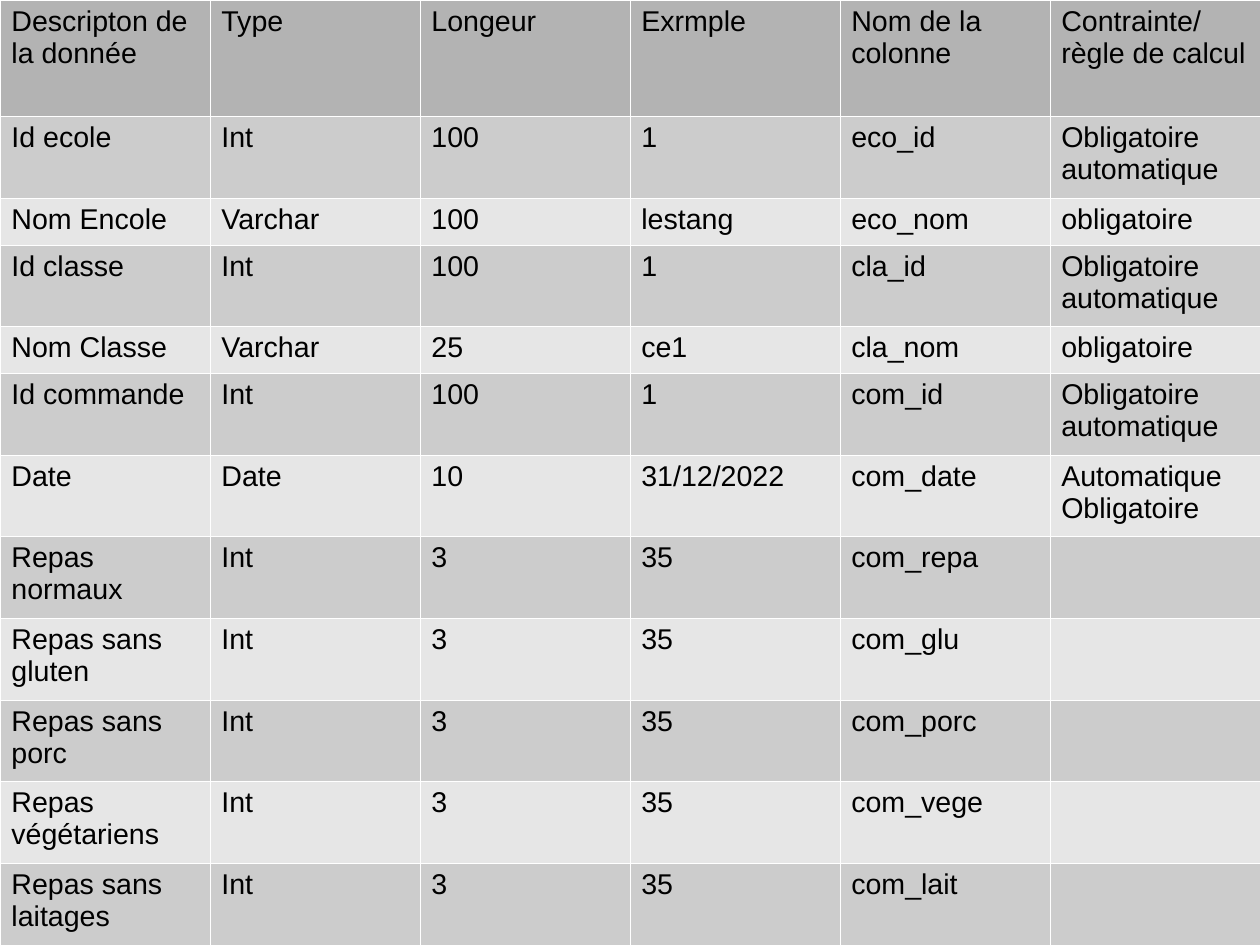
"""Build a data dictionary slide holding one full-page table."""
from dataclasses import dataclass

from lxml.etree import SubElement
from pptx import Presentation
from pptx.dml.color import RGBColor
from pptx.enum.lang import MSO_LANGUAGE_ID as Language
from pptx.oxml.ns import qn
from pptx.table import _Cell as Cell
from pptx.util import Emu, Pt

EMU_PER_PX = 8000
SLIDE_WIDTH, SLIDE_HEIGHT = 1260, 945
HEADER_FILL = "B3B3B3"
BAND_FILLS = ("E6E6E6", "CCCCCC")
BORDER_COLOR, BORDER_WIDTH = "FFFFFF", Pt(0.06)
TEXT_COLOR, FONT_NAME, FONT_SIZE = "000000", "Arial", Pt(18)
AUTOMATIC = "Obligatoire automatique"


@dataclass(frozen=True)
class Row:
    height: int
    texts: tuple[str, ...]


def meal_row(height: int, meal: str, column_name: str) -> Row:
    return Row(height, (meal, "Int", "3", "35", column_name, ""))


def id_row(height: int, label: str, column_name: str) -> Row:
    return Row(height, (label, "Int", "100", "1", column_name, AUTOMATIC))


ROWS = (
    Row(116, ("Descripton de la donnée", "Type", "Longeur", "Exrmple",
              "Nom de la colonne", "Contrainte/règle de calcul")),
    id_row(82, "Id ecole", "eco_id"),
    Row(47, ("Nom Encole", "Varchar", "100", "lestang", "eco_nom", "obligatoire")),
    id_row(81, "Id classe", "cla_id"),
    Row(47, ("Nom Classe", "Varchar", "25", "ce1", "cla_nom", "obligatoire")),
    id_row(82, "Id commande", "com_id"),
    Row(81, ("Date", "Date", "10", "31/12/2022", "com_date",
             "Automatique\nObligatoire")),
    meal_row(82, "Repas normaux", "com_repa"),
    meal_row(82, "Repas sans gluten", "com_glu"),
    meal_row(81, "Repas sans porc", "com_porc"),
    meal_row(82, "Repas végétariens", "com_vege"),
    meal_row(82, "Repas sans laitages", "com_lait"),
)


def px(length: int) -> Emu:
    return Emu(length * EMU_PER_PX)


def color(value: str) -> RGBColor:
    return RGBColor.from_string(value)


def draw_borders(cell: Cell) -> None:
    properties = cell._tc.get_or_add_tcPr()
    for side in ("a:lnL", "a:lnR", "a:lnT", "a:lnB"):
        line = SubElement(properties, qn(side), w=str(int(BORDER_WIDTH)))
        fill = SubElement(line, qn("a:solidFill"))
        SubElement(fill, qn("a:srgbClr"), val=BORDER_COLOR)


def fill_cell(cell: Cell, text: str, fill: str) -> None:
    draw_borders(cell)
    cell.fill.solid()
    cell.fill.fore_color.rgb = color(fill)
    cell.text_frame.text = text
    for paragraph in cell.text_frame.paragraphs:
        paragraph.font.size = FONT_SIZE
        for run in paragraph.runs:
            run.font.name = FONT_NAME
            run.font.size = FONT_SIZE
            run.font.color.rgb = color(TEXT_COLOR)
            run.font.language_id = Language.FRENCH


def main() -> None:
    presentation = Presentation()
    presentation.slide_width = px(SLIDE_WIDTH)
    presentation.slide_height = px(SLIDE_HEIGHT)
    slide = presentation.slides.add_slide(presentation.slide_layouts[6])

    column_count = len(ROWS[0].texts)
    table = slide.shapes.add_table(
        len(ROWS), column_count, 0, 0, px(SLIDE_WIDTH), px(SLIDE_HEIGHT)
    ).table
    table.first_row = False
    table.horz_banding = False
    for column in table.columns:
        column.width = px(SLIDE_WIDTH // column_count)

    for row_index, row in enumerate(ROWS):
        table.rows[row_index].height = px(row.height)
        fill = BAND_FILLS[row_index % 2] if row_index else HEADER_FILL
        for column_index, text in enumerate(row.texts):
            fill_cell(table.cell(row_index, column_index), text, fill)

    presentation.save("out.pptx")


if __name__ == "__main__":
    main()
